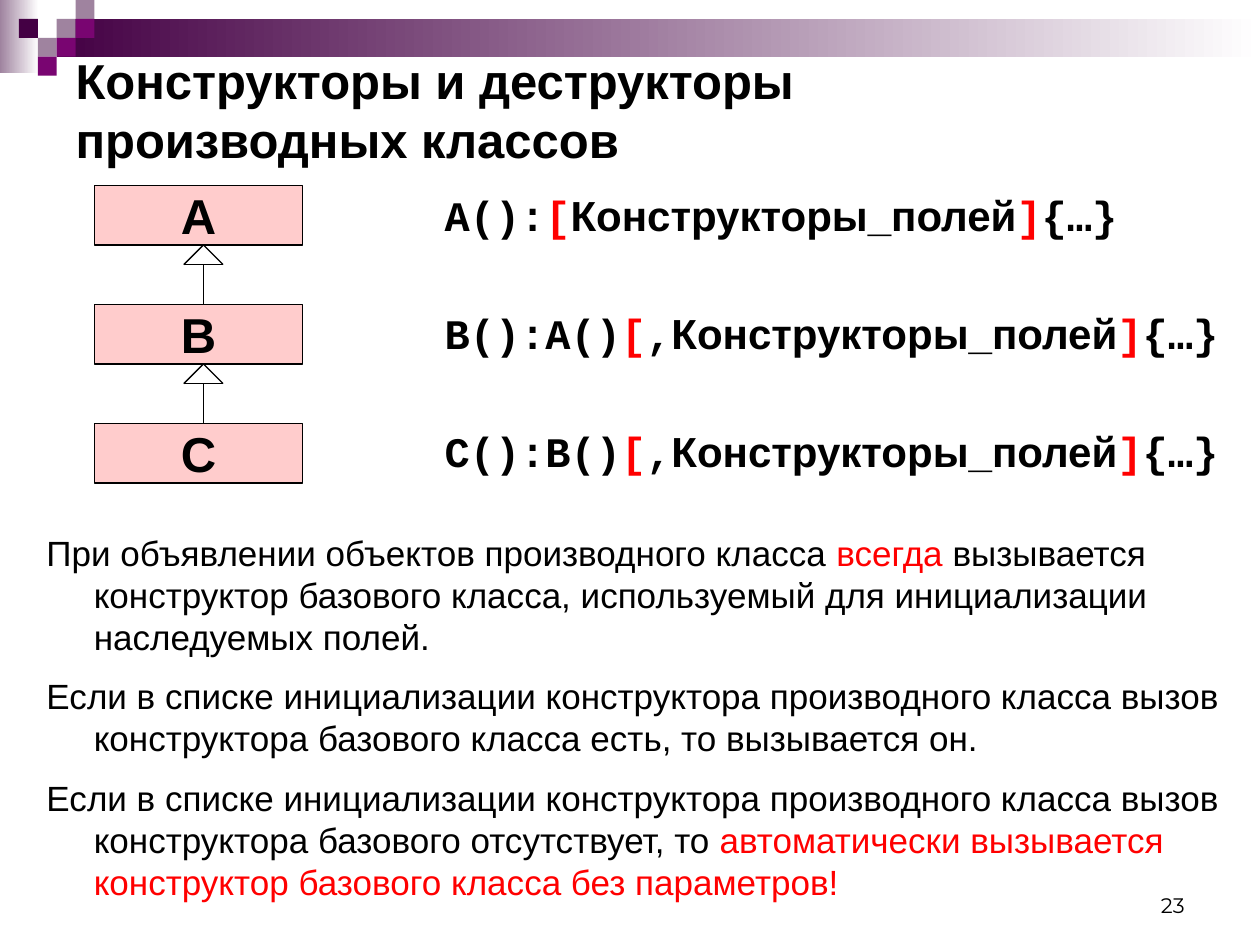
from lxml import etree
from pptx import Presentation
from pptx.dml.color import RGBColor
from pptx.enum.shapes import MSO_CONNECTOR, MSO_SHAPE
from pptx.enum.text import MSO_ANCHOR, MSO_AUTO_SIZE, PP_ALIGN
from pptx.oxml.ns import qn
from pptx.util import Pt

RECT = MSO_SHAPE.RECTANGLE
STRAIGHT = MSO_CONNECTOR.STRAIGHT
LEFT, CENTER, RIGHT = PP_ALIGN.LEFT, PP_ALIGN.CENTER, PP_ALIGN.RIGHT
TOP, MIDDLE, BOTTOM = MSO_ANCHOR.TOP, MSO_ANCHOR.MIDDLE, MSO_ANCHOR.BOTTOM

BLACK, WHITE, RED, PINK = "000000", "FFFFFF", "FF0000", "FFCCCC"
DARK, PURPLE, MAUVE = "440044", "790571", "9F839F"
SANS, MONO, NUMBER_FONT = "Arial", "Courier New", "Montserrat"

HEADING = {"name": SANS, "size": Pt(28), "bold": True}
CODE = {"name": MONO, "size": Pt(24), "bold": True}
CODE_WORD = {**CODE, "name": SANS}
BODY = {"name": SANS, "size": Pt(20), "bold": False}
PAGE = {"name": NUMBER_FONT, "size": Pt(12), "bold": False}


def color(hex_string):
    return RGBColor.from_string(hex_string)


def set_all(target, values):
    for attribute, value in values.items():
        setattr(target, attribute, value)


class SlideBuilder:
    hanging = 27
    line_width = 0.75

    def __init__(self, slide):
        self.slide = slide

    def format_font(self, font, values, hex_string=BLACK):
        set_all(font, values)
        font.color.rgb = color(hex_string)

    def title(self, text, left, top, width, height):
        title = self.slide.shapes.title
        set_all(title, {"left": Pt(left), "top": Pt(top),
                        "width": Pt(width), "height": Pt(height)})
        frame = title.text_frame
        frame.text = text
        set_all(frame, {"auto_size": MSO_AUTO_SIZE.NONE,
                        "vertical_anchor": MIDDLE})
        frame.paragraphs[0].alignment = LEFT
        for run in frame.paragraphs[0].runs:
            self.format_font(run.font, HEADING)

    def block(self, left, top, width, height, fill, fade_to=None):
        """Add a borderless rectangle, optionally fading to a second colour."""
        block = self.slide.shapes.add_shape(
            RECT, Pt(left), Pt(top), Pt(width), Pt(height))
        block.shadow.inherit = False
        block.line.fill.background()
        if fade_to:
            block.fill.gradient()
            block.fill.gradient_angle = 0
            for stop, shade in zip(block.fill.gradient_stops, (fill, fade_to)):
                stop.color.rgb = color(shade)
        else:
            block.fill.solid()
            block.fill.fore_color.rgb = color(fill)
        return block

    def class_box(self, name, left, top, width, height):
        box = self.block(left, top, width, height, PINK)
        box.line.color.rgb = color(BLACK)
        box.line.width = Pt(self.line_width)
        set_all(box.text_frame, {"word_wrap": False, "vertical_anchor": MIDDLE})
        paragraph = box.text_frame.paragraphs[0]
        paragraph.text = name
        paragraph.alignment = CENTER
        self.format_font(paragraph.font, HEADING)

    def line(self, start, end):
        line = self.slide.shapes.add_connector(
            STRAIGHT, *(Pt(value) for value in (*start, *end)))
        line.line.color.rgb = color(BLACK)
        line.line.width = Pt(self.line_width)
        etree.SubElement(line._element.spPr, qn("a:effectLst"))

    def inheritance_arrow(self, x, top, bottom, half_width=11.25, head=11.25):
        """Draw a hollow arrowhead at the top with a stem down to the bottom."""
        base = top + head
        left, right = (x - half_width, base), (x + half_width, base)
        for start, end in (((x, bottom), (x, base)), (left, right),
                           ((x, top), left), ((x, top), right)):
            self.line(start, end)

    def text(self, left, top, width, height, paragraphs, gap=0,
             hanging=hanging, align=LEFT, anchor=TOP):
        """Add paragraphs given as lists of (text, format, colour) runs."""
        box = self.slide.shapes.add_textbox(
            Pt(left), Pt(top), Pt(width), Pt(height))
        frame = box.text_frame
        set_all(frame, {"word_wrap": True, "vertical_anchor": anchor})
        for index, runs in enumerate(paragraphs):
            paragraph = frame.add_paragraph() if index else frame.paragraphs[0]
            paragraph.alignment = align
            if index:
                paragraph.space_before = Pt(gap)
            if hanging:
                properties = paragraph._p.get_or_add_pPr()
                properties.set("marL", str(Pt(hanging)))
                properties.set("indent", str(Pt(-hanging)))
            for content, values, hex_string in runs:
                run = paragraph.add_run()
                run.text = content
                self.format_font(run.font, values, hex_string)


def signature(call, separator=""):
    runs = [(call, CODE, BLACK), ("[", CODE, RED)]
    if separator:
        runs.append((separator, CODE, BLACK))
    return runs + [("Конструкторы_полей", CODE_WORD, BLACK),
                   ("]", CODE, RED), ("{…}", CODE, BLACK)]


def main():
    presentation = Presentation()
    presentation.slide_width, presentation.slide_height = Pt(720), Pt(540)
    slide = presentation.slides.add_slide(presentation.slide_layouts[5])
    builder = SlideBuilder(slide)

    tile = 10.8
    builder.block(0, 0, 22, 42, MAUVE, WHITE)
    builder.block(3 * tile, tile, 720 - 3 * tile, 2 * tile, DARK, WHITE)
    for column, row, shade in ((3, 1, MAUVE), (4, 0, MAUVE), (4, 1, PURPLE),
                               (2, 2, MAUVE), (1, 1, DARK), (3, 2, PURPLE),
                               (2, 3, PURPLE)):
        builder.block(column * tile, row * tile, tile, tile, shade)

    builder.title("Конструкторы и деструкторы\vпроизводных классов",
                  36, 26, 648, 73.5)

    signatures = [signature("A():"), signature("B():A()", ","),
                  signature("C():B()", ",")]
    builder.text(247, 105, 473, 194, signatures, gap=38.4)

    box_left, box_top, box_width, box_height, pitch = 54, 106, 119, 34, 68
    for index, class_name in enumerate("ABC"):
        top = box_top + index * pitch
        builder.class_box(class_name, box_left, top, box_width, box_height)
        if index:
            builder.inheritance_arrow(116.25, top - pitch + box_height, top)

    rules = [
        [("При объявлении объектов производного класса ", BODY, BLACK),
         ("всегда", BODY, RED),
         (" вызывается конструктор базового класса, используемый для "
          "инициализации наследуемых полей.", BODY, BLACK)],
        [("Если в списке инициализации конструктора производного класса вызов "
          "конструктора базового класса есть, то вызывается он.", BODY, BLACK)],
        [("Если в списке инициализации конструктора производного класса вызов "
          "конструктора базового отсутствует, то ", BODY, BLACK),
         ("автоматически вызывается конструктор базового класса без "
          "параметров!", BODY, RED)],
    ]
    builder.text(19.5, 300, 692, 224, rules, gap=10)
    builder.text(516, 492, 168, 36, [[("23", PAGE, BLACK)]],
                 hanging=0, align=RIGHT, anchor=BOTTOM)

    presentation.save("out.pptx")


if __name__ == "__main__":
    main()
